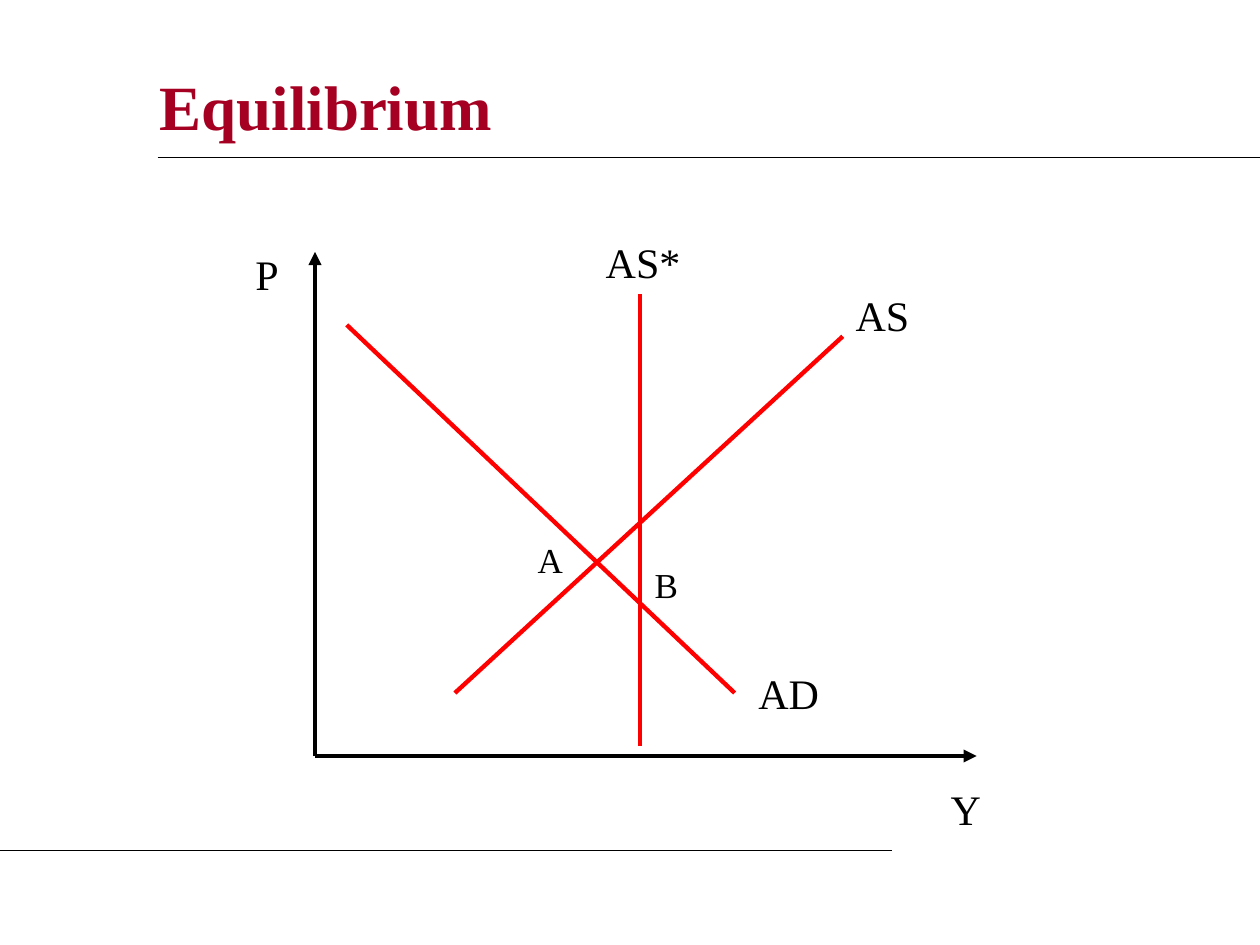
from dataclasses import dataclass

from lxml import etree
from pptx import Presentation
from pptx.dml.color import RGBColor
from pptx.enum.shapes import MSO_CONNECTOR
from pptx.enum.text import MSO_ANCHOR, PP_ALIGN
from pptx.oxml.ns import qn
from pptx.util import Cm, Pt

STRAIGHT = MSO_CONNECTOR.STRAIGHT
MIDDLE, TOP = MSO_ANCHOR.MIDDLE, MSO_ANCHOR.TOP
LEFT, CENTER = PP_ALIGN.LEFT, PP_ALIGN.CENTER
BLANK_LAYOUT = 6


@dataclass(frozen=True)
class Theme:
    font: str = "Times New Roman"
    title_color: RGBColor = RGBColor(0xA5, 0x00, 0x21)
    ink: RGBColor = RGBColor(0x00, 0x00, 0x00)
    curve: RGBColor = RGBColor(0xFF, 0x00, 0x00)
    title_size: float = 36
    label_size: float = 24
    point_size: float = 20
    rule_width: float = 0.75
    curve_width: float = 2.5


class DiagramPage:
    def __init__(self, deck, theme):
        self.page = deck.slides.add_slide(deck.slide_layouts[BLANK_LAYOUT])
        self.theme = theme

    def text(self, words, area, size, color, align=CENTER, anchor=TOP, bold=False):
        box = self.page.shapes.add_textbox(*map(Cm, area))
        frame = box.text_frame
        frame.word_wrap = True
        frame.vertical_anchor = anchor
        frame.text = words
        para = frame.paragraphs[0]
        para.alignment = align
        font = para.runs[0].font
        font.name = self.theme.font
        font.size = Pt(size)
        font.bold = bold
        font.color.rgb = color

    def title(self, words, area):
        self.text(words, area, self.theme.title_size, self.theme.title_color,
                  LEFT, MIDDLE, True)

    def label(self, words, left, top, width):
        self.text(words, (left, top, width, 1.27), self.theme.label_size, self.theme.ink)

    def point(self, words, left, top):
        self.text(words, (left, top, 1.47, 1.12), self.theme.point_size, self.theme.ink)

    def line(self, start, end, color, width):
        connector = self.page.shapes.add_connector(STRAIGHT, *map(Cm, start + end))
        connector.line.color.rgb = color
        connector.line.width = Pt(width)
        etree.SubElement(connector._element.spPr, qn("a:effectLst"))
        return connector

    def rule(self, start, end):
        self.line(start, end, self.theme.ink, self.theme.rule_width)

    def axis(self, start, end):
        connector = self.line(start, end, self.theme.ink, self.theme.curve_width)
        etree.SubElement(connector.line._get_or_add_ln(), qn("a:tailEnd"), type="triangle")

    def curve(self, start, end):
        self.line(start, end, self.theme.curve, self.theme.curve_width)


def main():
    deck = Presentation()
    deck.slide_width, deck.slide_height = Cm(25.4), Cm(19.05)
    diagram = DiagramPage(deck, Theme())

    diagram.title("Equilibrium", (2.97, 1.07, 21.59, 2.11))
    diagram.rule((3.18, 3.18), (25.4, 3.18))
    diagram.rule((0, 17.15), (17.99, 17.15))

    origin = (6.35, 15.24)
    for tip in ((19.69, 15.24), (6.35, 5.08)):
        diagram.axis(origin, tip)

    supply = ((9.17, 13.97), (16.99, 6.78))
    demand = ((14.81, 13.97), (6.99, 6.55))
    full_output = ((12.9, 15.04), (12.9, 5.92))
    for start, end in (supply, demand, full_output):
        diagram.curve(start, end)

    for words, left, top, width in (
        ("Y", 18.62, 15.67, 1.7),
        ("P", 4.65, 4.88, 1.47),
        ("AS", 16.94, 5.72, 1.7),
        ("AD", 14.73, 13.34, 2.34),
        ("AS*", 11.91, 4.65, 2.11),
    ):
        diagram.label(words, left, top, width)

    diagram.point("A", 10.36, 10.74)
    diagram.point("B", 12.7, 11.23)

    deck.save("out.pptx")


if __name__ == "__main__":
    main()
